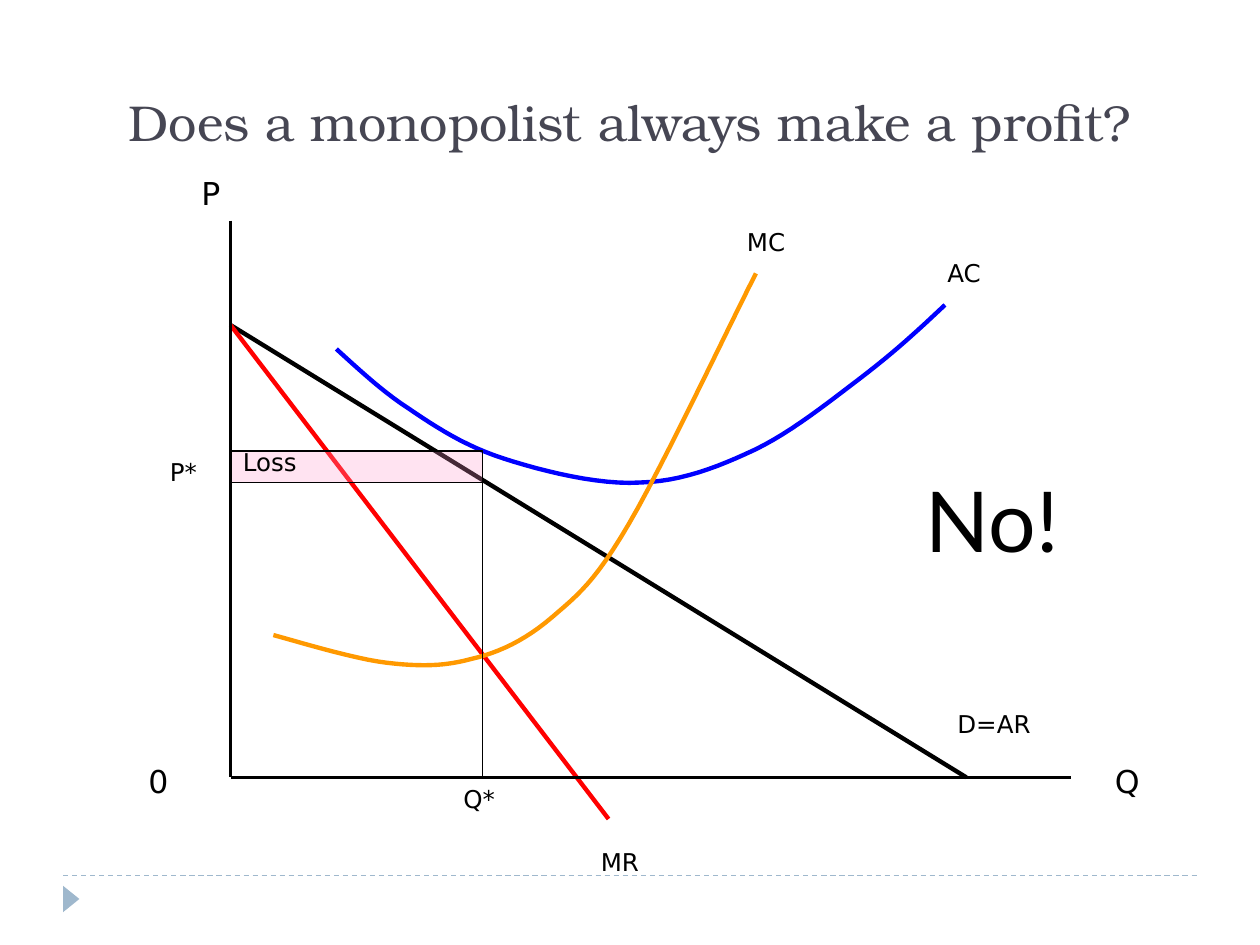
from pptx import Presentation
from pptx.dml.color import RGBColor
from pptx.enum.dml import MSO_LINE
from pptx.enum.shapes import MSO_CONNECTOR, MSO_SHAPE
from pptx.enum.text import MSO_ANCHOR, PP_ALIGN
from pptx.oxml.ns import qn
from pptx.util import Inches, Pt
from lxml import etree

STRAIGHT = MSO_CONNECTOR.STRAIGHT
DASH = MSO_LINE.DASH
TRIANGLE, RECT = MSO_SHAPE.ISOSCELES_TRIANGLE, MSO_SHAPE.RECTANGLE
BOTTOM, LEFT = MSO_ANCHOR.BOTTOM, PP_ALIGN.LEFT
rgb = RGBColor.from_string

prs = Presentation()
prs.slide_width, prs.slide_height = Inches(10), Inches(7.5)
s = prs.slides.add_slide(prs.slide_layouts[5])


def add_line(x1, y1, x2, y2, color="000000", width=0.75):
    c = s.shapes.add_connector(STRAIGHT, Inches(x1), Inches(y1), Inches(x2), Inches(y2))
    c.line.color.rgb = rgb(color)
    c.line.width = Pt(width)
    etree.SubElement(c._element.spPr, qn("a:effectLst"))
    return c


def add_run(tf, text, size, font, color="000000"):
    p = tf.paragraphs[0]
    p.alignment = LEFT
    r = p.add_run()
    r.text = text
    r.font.size, r.font.name = Pt(size), font
    r.font.color.rgb = rgb(color)


# Footer rule and marker
add_line(0.5, 6.95, 9.5, 6.95, "9FB8CD").line.dash_style = DASH
marker = s.shapes.add_shape(TRIANGLE, Inches(0.46), Inches(7.07), Inches(0.21), Inches(0.13))
marker.rotation = 90
marker.shadow.inherit = False
marker.fill.solid()
marker.fill.fore_color.rgb = rgb("9FB8CD")
marker.line.fill.background()

# Title
title = s.shapes.title
title.left, title.top, title.width, title.height = map(Inches, (0.92, 0.5, 8.67, 0.75))
title.text_frame.vertical_anchor = BOTTOM
add_run(title.text_frame, "Does a monopolist always make a profit?", 28.8,
        "TeX Gyre Bonum", "464653")

# Demand and marginal revenue
X0, Y0 = 1.83, 6.17
add_line(X0, 2.58, 7.67, Y0, width=2.5)
add_line(X0, 2.58, 4.83, 6.5, "FF0000", 2.5)

# Cost curves: a start point, then cubic segments of two controls and an end
curves = [
    ("0000FF", (2.67, 2.77), [
        (2.76, 2.85, 3.02, 3.1, 3.24, 3.24), (3.46, 3.39, 3.69, 3.54, 4, 3.64),
        (4.31, 3.74, 4.75, 3.85, 5.08, 3.83), (5.41, 3.82, 5.69, 3.71, 5.99, 3.57),
        (6.28, 3.43, 6.58, 3.19, 6.83, 3), (7.08, 2.81, 7.29, 2.62, 7.5, 2.42)]),
    ("FF9900", (2.17, 5.04), [
        (2.32, 5.08, 2.81, 5.23, 3.07, 5.26), (3.33, 5.29, 3.52, 5.29, 3.74, 5.23),
        (3.96, 5.18, 4.17, 5.08, 4.38, 4.9), (4.59, 4.72, 4.72, 4.62, 4.99, 4.16),
        (5.26, 3.7, 5.79, 2.58, 6, 2.17)]),
]
STEPS = 12
for color, start, segments in curves:
    points, (x, y) = [], start
    for x1, y1, x2, y2, x3, y3 in segments:
        for i in range(1, STEPS + 1):
            t = i / STEPS
            a, b, c, d = (1 - t) ** 3, 3 * t * (1 - t) ** 2, 3 * t * t * (1 - t), t ** 3
            points.append((Inches(a * x + b * x1 + c * x2 + d * x3),
                           Inches(a * y + b * y1 + c * y2 + d * y3)))
        x, y = x3, y3
    builder = s.shapes.build_freeform(Inches(start[0]), Inches(start[1]))
    builder.add_line_segments(points, close=False)
    curve = builder.convert_to_shape()
    curve.shadow.inherit = False
    curve.fill.background()
    curve.line.color.rgb = rgb(color)
    curve.line.width = Pt(2.5)

# Guides to the chosen quantity and price
add_line(3.83, Y0, 3.83, 3.58)
add_line(3.83, 3.83, X0, 3.83)

# Loss area
loss = s.shapes.add_shape(RECT, Inches(X0), Inches(3.58), Inches(2), Inches(0.25))
loss.shadow.inherit = False
loss.fill.solid()
loss.fill.fore_color.rgb = rgb("FF99CC")
etree.SubElement(loss._element.spPr.find(".//" + qn("a:srgbClr")), qn("a:alpha"), val="27000")
loss.line.color.rgb = rgb("000000")
loss.line.width = Pt(0.75)

# Labels
labels = [
    ("MR", 4.67, 6.67, 0.67, 14), ("D=AR", 7.5, 5.58, 1.5, 14),
    ("MC", 5.83, 1.75, 0.67, 14), ("AC", 7.42, 2, 0.67, 14),
    ("P*", 1.25, 3.58, 0.5, 14), ("Q*", 3.58, 6.17, 0.5, 14),
    ("Loss", X0, 3.5, 1.33, 14), ("P", 1.5, 1.33, 0.67, 18),
    ("0", 1.08, 6, 0.67, 18), ("Q", 8.75, 6, 0.67, 18),
    ("No!", 7.25, 3.67, 1.42, 48),
]
heights = {14: 0.33, 18: 0.4, 48: 0.9}
for text, x, y, w, size in labels:
    tb = s.shapes.add_textbox(Inches(x), Inches(y), Inches(w), Inches(heights[size]))
    tb.text_frame.word_wrap = True
    add_run(tb.text_frame, text, size, "Lato" if size == 48 else "DejaVu Sans")

# Axes
add_line(X0, 1.75, X0, Y0, width=1.5)
add_line(X0, Y0, 8.5, Y0, width=1.5)

prs.save("out.pptx")
